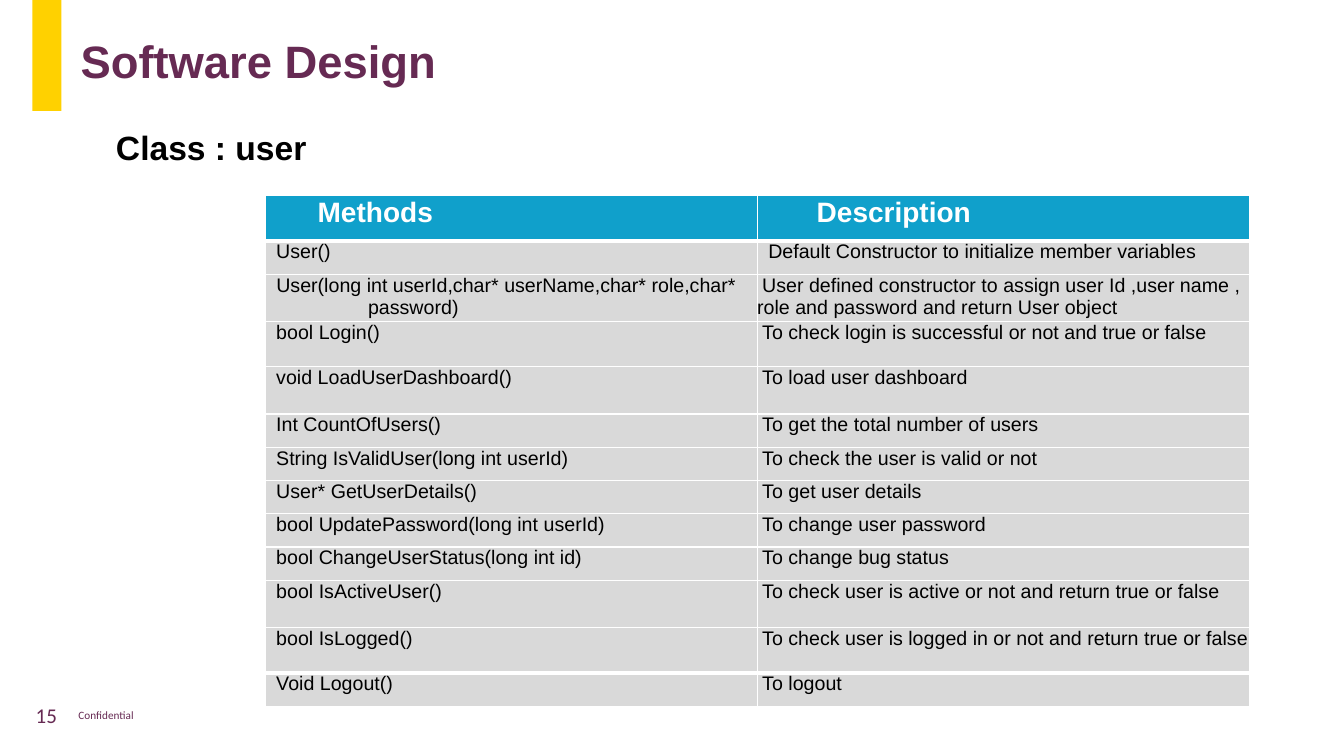
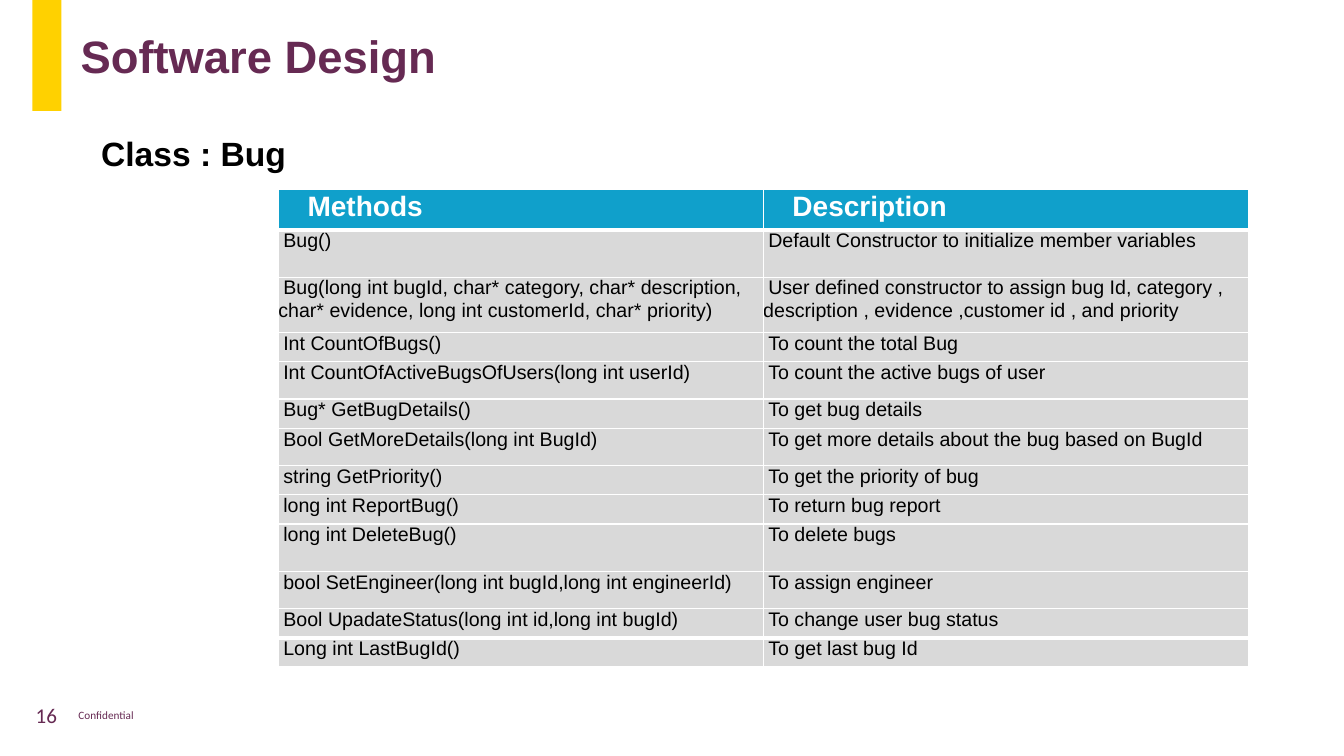
from dataclasses import dataclass

from lxml import etree
from pptx import Presentation
from pptx.dml.color import RGBColor
from pptx.enum.shapes import MSO_SHAPE
from pptx.enum.text import MSO_ANCHOR, PP_ALIGN
from pptx.oxml.ns import qn
from pptx.util import Inches, Pt

PURPLE = RGBColor(0x66, 0x2A, 0x53)
YELLOW = RGBColor(0xFF, 0xD1, 0x00)
BLUE = RGBColor(0x10, 0xA0, 0xCB)
GREY = RGBColor(0xD9, 0xD9, 0xD9)
WHITE = RGBColor(0xFF, 0xFF, 0xFF)
BLACK = RGBColor(0x00, 0x00, 0x00)

RECTANGLE = MSO_SHAPE.RECTANGLE
MIDDLE = MSO_ANCHOR.MIDDLE
TOP = MSO_ANCHOR.TOP
LEFT = PP_ALIGN.LEFT
CENTER = PP_ALIGN.CENTER

TITLE_FONT = {"name": "Arial", "size": Pt(32.4), "bold": True, "color": PURPLE}
CLASS_FONT = {"name": "Arial", "size": Pt(24), "bold": True, "color": BLACK}
HEADER_FONT = {"name": "Arial", "size": Pt(20), "bold": True, "color": WHITE}
CELL_FONT = {"name": "Arial", "size": Pt(14), "bold": False, "color": BLACK}
NUMBER_FONT = {"name": "Calibri", "size": Pt(15), "bold": False, "color": PURPLE}
FOOTER_FONT = {"name": "Calibri", "size": Pt(8), "bold": False, "color": PURPLE}

TITLE_ONLY_LAYOUT = 5
FIRST_NUMBER = 15
HEADERS = ("Methods", "Description")
HEADER_LINE = Pt(11.6)
THIN, THICK = Pt(1), Pt(3)


@dataclass(frozen=True)
class Box:
    left: float
    top: float
    width: float
    height: float

    def lengths(self) -> list:
        return [Inches(v) for v in (self.left, self.top, self.width, self.height)]


@dataclass(frozen=True)
class Indent:
    """Where the first line and the following lines start, in inches."""
    first: float
    rest: float = 0


NARROW = Indent(0.05)
WIDE = Indent(0.11)


@dataclass(frozen=True)
class Method:
    signature: str
    description: str
    height: float
    signature_indent: Indent = NARROW
    description_indent: Indent = NARROW


@dataclass(frozen=True)
class ClassPage:
    heading: str
    heading_box: Box
    title_top: float
    table_box: Box
    header_height: float
    header_indents: tuple[float, float]
    methods: list[Method]


PAGES = [
    ClassPage(
        "Class : user", Box(0.94, 1.21, 2.31, 0.5), 0.19,
        Box(2.63, 1.94, 9.76, 5.09), 0.45, (0.52, 0.59),
        [
            Method("User()", "Default Constructor to initialize member variables",
                   0.33, WIDE, WIDE),
            Method("User(long int userId,char* userName,char* role,char* password)",
                   "User defined constructor to assign user Id ,user name , "
                   "role and password and return User object", 0.45, Indent(0.11, 1.02)),
            Method("bool Login()",
                   "To check login is successful or not and true or false", 0.45, WIDE),
            Method("void LoadUserDashboard()", "To load user dashboard", 0.47, WIDE),
            Method("Int CountOfUsers()", "To get the total number of users", 0.33, WIDE),
            Method("String IsValidUser(long int userId)",
                   "To check the user is valid or not", 0.33, WIDE),
            Method("User* GetUserDetails()", "To get user details", 0.33, WIDE),
            Method("bool UpdatePassword(long int userId)",
                   "To change user password", 0.33, WIDE),
            Method("bool ChangeUserStatus(long int id)",
                   "To change bug status", 0.33, WIDE),
            Method("bool IsActiveUser()",
                   "To check user is active or not and return true or false", 0.47, WIDE),
            Method("bool IsLogged()",
                   "To check user is logged in or not and return true or false", 0.45, WIDE),
            Method("Void Logout()", "To logout", 0.33, WIDE),
        ],
    ),
    ClassPage(
        "Class : Bug", Box(0.73, 1.27, 2.38, 0.5), 0.14,
        Box(2.76, 1.88, 9.62, 4.7), 0.4, (0.29, 0.29),
        [
            Method("Bug()", "Default Constructor to initialize member variables", 0.47),
            Method("Bug(long int bugId, char* category, char* description, "
                   "char* evidence, long int customerId, char* priority)",
                   "User defined constructor to assign bug Id, category , "
                   "description , evidence ,customer id , and priority", 0.55),
            Method("Int CountOfBugs()", "To count the total Bug", 0.29),
            Method("Int CountOfActiveBugsOfUsers(long int userId)",
                   "To count the active bugs of user", 0.37),
            Method("Bug* GetBugDetails()", "To get bug details", 0.29),
            Method("Bool GetMoreDetails(long int BugId)",
                   "To get more details about the bug based on BugId", 0.37),
            Method("string GetPriority()", "To get the priority of bug", 0.29),
            Method("long int ReportBug()", "To return bug report", 0.29),
            Method("long int DeleteBug()", "To delete bugs", 0.47),
            Method("bool SetEngineer(long int bugId,long int engineerId)",
                   "To assign engineer", 0.37),
            Method("Bool UpadateStatus(long int id,long int bugId)",
                   "To change user bug status", 0.29),
            Method("Long int LastBugId()", "To get last bug Id", 0.29),
        ],
    ),
]


def write_text(frame, text: str, font_format: dict, alignment=LEFT):
    paragraph = frame.paragraphs[0]
    paragraph.alignment = alignment
    run = paragraph.add_run()
    run.text = text
    for name, value in font_format.items():
        if name == "color":
            run.font.color.rgb = value
        else:
            setattr(run.font, name, value)
    return paragraph


def add_text(slide, box: Box, text: str, font_format: dict, alignment=LEFT, anchor=TOP):
    shape = slide.shapes.add_textbox(*box.lengths())
    frame = shape.text_frame
    frame.word_wrap = True
    frame.vertical_anchor = anchor
    write_text(frame, text, font_format, alignment)
    return shape


def set_indent(paragraph, indent: Indent) -> None:
    properties = paragraph._p.get_or_add_pPr()
    properties.set("marL", str(Inches(indent.rest)))
    properties.set("indent", str(Inches(indent.first - indent.rest)))


def set_borders(cell, top: int, bottom: int) -> None:
    properties = cell._tc.get_or_add_tcPr()
    for side, width in (("L", THIN), ("R", THIN), ("T", top), ("B", bottom)):
        line = etree.SubElement(properties, qn(f"a:ln{side}"), w=str(width))
        fill = etree.SubElement(line, qn("a:solidFill"))
        etree.SubElement(fill, qn("a:srgbClr"), val=str(WHITE))


def fill_cell(cell, text: str, font_format: dict, indent: Indent, color: RGBColor):
    cell.margin_left = cell.margin_right = cell.margin_top = cell.margin_bottom = 0
    cell.fill.solid()
    cell.fill.fore_color.rgb = color
    paragraph = write_text(cell.text_frame, text, font_format)
    set_indent(paragraph, indent)
    return paragraph


def add_method_table(slide, page: ClassPage) -> None:
    row_count = len(page.methods) + 1
    frame = slide.shapes.add_table(row_count, len(HEADERS), *page.table_box.lengths())
    table = frame.table
    table.first_row = table.horz_banding = False
    heights = [page.header_height] + [method.height for method in page.methods]
    thick_edges = (1, row_count - 1)
    for index, height in enumerate(heights):
        table.rows[index].height = Inches(height)
        for cell in table.rows[index].cells:
            top, bottom = (THICK if edge in thick_edges else THIN
                           for edge in (index, index + 1))
            set_borders(cell, top, bottom)
    for column, (text, first) in enumerate(zip(HEADERS, page.header_indents)):
        cell = table.cell(0, column)
        paragraph = fill_cell(cell, text, HEADER_FONT, Indent(first), BLUE)
        paragraph.line_spacing = HEADER_LINE
        cell.margin_top = HEADER_LINE
    for row, method in enumerate(page.methods, start=1):
        fill_cell(table.cell(row, 0), method.signature, CELL_FONT,
                  method.signature_indent, GREY)
        fill_cell(table.cell(row, 1), method.description, CELL_FONT,
                  method.description_indent, GREY)


def decorate_layout(slide) -> None:
    """Put the yellow band and the footer on the layout that all slides share."""
    band = slide.shapes.add_shape(RECTANGLE, *Box(0.32, 0, 0.29, 1.1).lengths())
    band.shadow.inherit = False
    band.fill.solid()
    band.fill.fore_color.rgb = YELLOW
    band.line.fill.background()
    footer = add_text(slide, Box(0.68, 6.98, 2.51, 0.24), "Confidential", FOOTER_FONT)
    for shape in (band, footer):
        slide.slide_layout.shapes.element.append(shape.element)


def add_title(slide, top: float) -> None:
    title = slide.shapes.title
    box = Box(0.7, top, 10.62, 0.88)
    title.left, title.top, title.width, title.height = box.lengths()
    title.text_frame.vertical_anchor = MIDDLE
    paragraph = write_text(title.text_frame, "Software Design", TITLE_FONT)
    paragraph.line_spacing = 0.9


def main() -> None:
    presentation = Presentation()
    presentation.slide_width = Inches(13.33)
    presentation.slide_height = Inches(7.5)
    layout = presentation.slide_layouts[TITLE_ONLY_LAYOUT]
    for number, page in enumerate(PAGES, start=FIRST_NUMBER):
        slide = presentation.slides.add_slide(layout)
        if number == FIRST_NUMBER:
            decorate_layout(slide)
        add_title(slide, page.title_top)
        add_text(slide, Box(0.21, 6.89, 0.5, 0.4), str(number), NUMBER_FONT, CENTER, MIDDLE)
        add_text(slide, page.heading_box, page.heading, CLASS_FONT, CENTER)
        add_method_table(slide, page)
    presentation.save("out.pptx")


if __name__ == "__main__":
    main()
